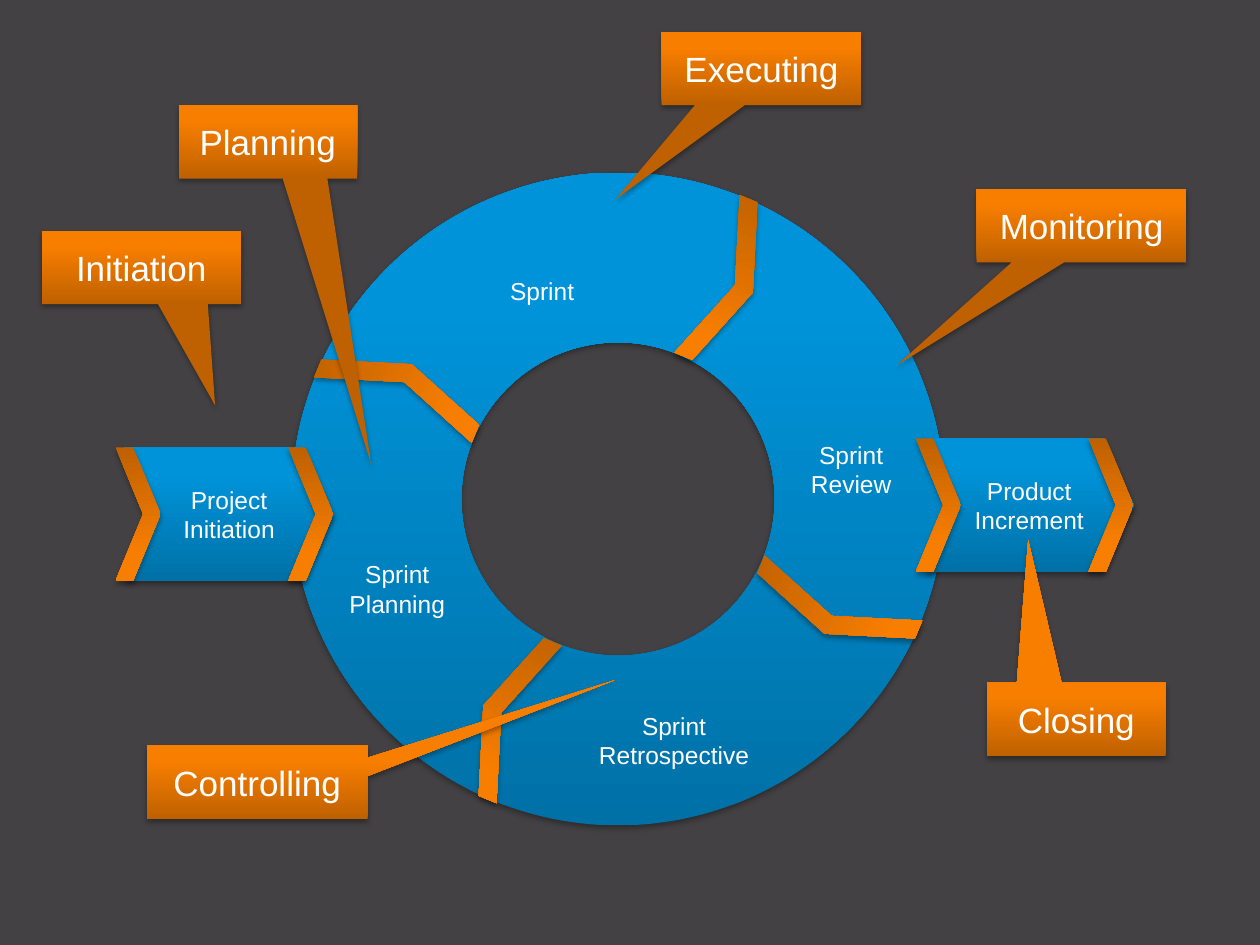
"""Draw a sprint cycle with project phases called out around it."""
import copy
import math
import lxml.etree
import pptx
import pptx.dml.color
import pptx.enum.shapes
import pptx.enum.text
import pptx.oxml
import pptx.oxml.ns
import pptx.util

Cm, Pt = pptx.util.Cm, pptx.util.Pt
RGB = pptx.dml.color.RGBColor.from_string
KIND = pptx.enum.shapes.MSO_SHAPE
TEXT = pptx.enum.text

HUES = {"back": "434143", "text": "FFFFFF", "shade": "000000"}
FADES = {
    "blue": [(0, "0071A7"), (0.8, "0093D9"), (1, "0094DA")],
    "gold": [(0, "BF6100"), (0.8, "F87E00"), (1, "F97F00")],
}
RING = {"mid": (12.46, 10.06), "size": 13.16, "band": 0.26}
SEAM = {"count": 4, "size": (1.0, 3.44), "reach": 4.9, "start": 27.4, "turn": 112.5}
STEP = {"size": (4.22, 2.69), "edge": 0.91, "shifts": (3.3, -0.18)}
NOTCH = 0.61
STEPS = [("Project Initiation", 2.51, 9.02), ("Product Increment", 18.64, 8.84)]
LABELS = [
    (["Sprint", "Planning"], 6.55, 11.15, 2.92, 1.4),
    (["Sprint"], 9.47, 5.44, 2.92, 0.81),
    (["Sprint", "Review"], 15.7, 8.74, 2.92, 1.4),
    (["Sprint", "Retrospective"], 11.48, 14.2, 4.22, 1.4),
]
TALL = 1.48
CALLS = [
    ("Initiation", 0.84, 4.65, 4.02, (0.37, 1.88)),
    ("Planning", 3.6, 2.12, 3.6, (0.58, 4.4)),
    ("Executing", 13.34, 0.64, 4.02, (-0.73, 1.78)),
    ("Closing", 19.9, 13.76, 3.6, (-0.27, -2.44)),
    ("Controlling", 2.96, 15.03, 4.45, (1.62, -1.39)),
    ("Monitoring", 19.69, 3.81, 4.23, (-0.88, 1.9)),
]
SMALL = {"name": "Arial", "size": Pt(14)}
LARGE = {"name": "Arial", "size": Pt(20)}
SHADE = (
    '<a:outerShdw {} blurRad="39400" dist="22900" dir="5400000" rotWithShape="0">'
    '<a:srgbClr val="{}"><a:alpha val="35000"/></a:srgbClr></a:outerShdw>'
).format(pptx.oxml.ns.nsdecls("a"), HUES["shade"])


def write(shape, lines, style):
    """Set centred lines of text in a shape."""
    frame = shape.text_frame
    frame.word_wrap = True
    frame.text = "\n".join(lines)
    for para in frame.paragraphs:
        para.alignment = TEXT.PP_ALIGN.CENTER
        for key, val in style.items():
            setattr(para.font, key, val)
        para.font.color.rgb = RGB(HUES["text"])


def draw(slide, kind, box, fade, adjs, turn=0, flip=False):
    """Add a shaded shape with a gradient fill."""
    shape = slide.shapes.add_shape(kind, *map(Cm, box))
    for num, val in enumerate(adjs):
        shape.adjustments[num] = val
    shape.rotation = turn
    if flip:
        shape._element.spPr.xfrm.set("flipV", "1")
    shape.line.fill.background()
    shape.fill.gradient()
    shape.fill.gradient_angle = 90
    stops = shape._element.spPr.xpath(".//a:gsLst")[0]
    stops.append(copy.deepcopy(stops[0]))
    for stop, (place, hue) in zip(shape.fill.gradient_stops, FADES[fade]):
        stop.position = place
        stop.color.rgb = RGB(hue)
    shape.shadow.inherit = False
    shape._element.spPr.xpath("./a:effectLst")[0].append(pptx.oxml.parse_xml(SHADE))
    return shape


def wheel(slide):
    """Draw the ring and the seams between its sprints."""
    (mid_x, mid_y), size = RING["mid"], RING["size"]
    box = (mid_x - size / 2, mid_y - size / 2, size, size)
    draw(slide, KIND.DONUT, box, "blue", [RING["band"]])
    wide, high = SEAM["size"]
    for num in range(SEAM["count"]):
        angle = math.radians(SEAM["start"] + 90 * num)
        left = mid_x + SEAM["reach"] * math.cos(angle) - wide / 2
        top = mid_y + SEAM["reach"] * math.sin(angle) - high / 2
        turn = (SEAM["turn"] + 90 * num) % 360
        draw(slide, KIND.CHEVRON, (left, top, wide, high), "gold", [NOTCH], turn, num >= 2)


def main():
    """Build the slide."""
    deck = pptx.Presentation()
    deck.slide_width, deck.slide_height = Cm(25.4), Cm(19.05)
    slide = deck.slides.add_slide(deck.slide_layouts[6])
    slide.background.fill.solid()
    slide.background.fill.fore_color.rgb = RGB(HUES["back"])
    wheel(slide)
    wide, high = STEP["size"]
    for text, left, top in STEPS:
        step = draw(slide, KIND.CHEVRON, (left, top, wide, high), "blue", [0.23])
        write(step, [text], SMALL)
        for shift in STEP["shifts"]:
            box = (left + shift, top, STEP["edge"], high)
            draw(slide, KIND.CHEVRON, box, "gold", [NOTCH], flip=True)
    for lines, *box in LABELS:
        label = slide.shapes.add_textbox(*map(Cm, box))
        write(label, lines, SMALL)
        label.text_frame.auto_size = TEXT.MSO_AUTO_SIZE.SHAPE_TO_FIT_TEXT
    for text, left, top, wide, tip in CALLS:
        box = (left, top, wide, TALL)
        call = draw(slide, KIND.RECTANGULAR_CALLOUT, box, "gold", tip)
        write(call, [text], LARGE)
    deck.save("out.pptx")


if __name__ == "__main__":
    main()
